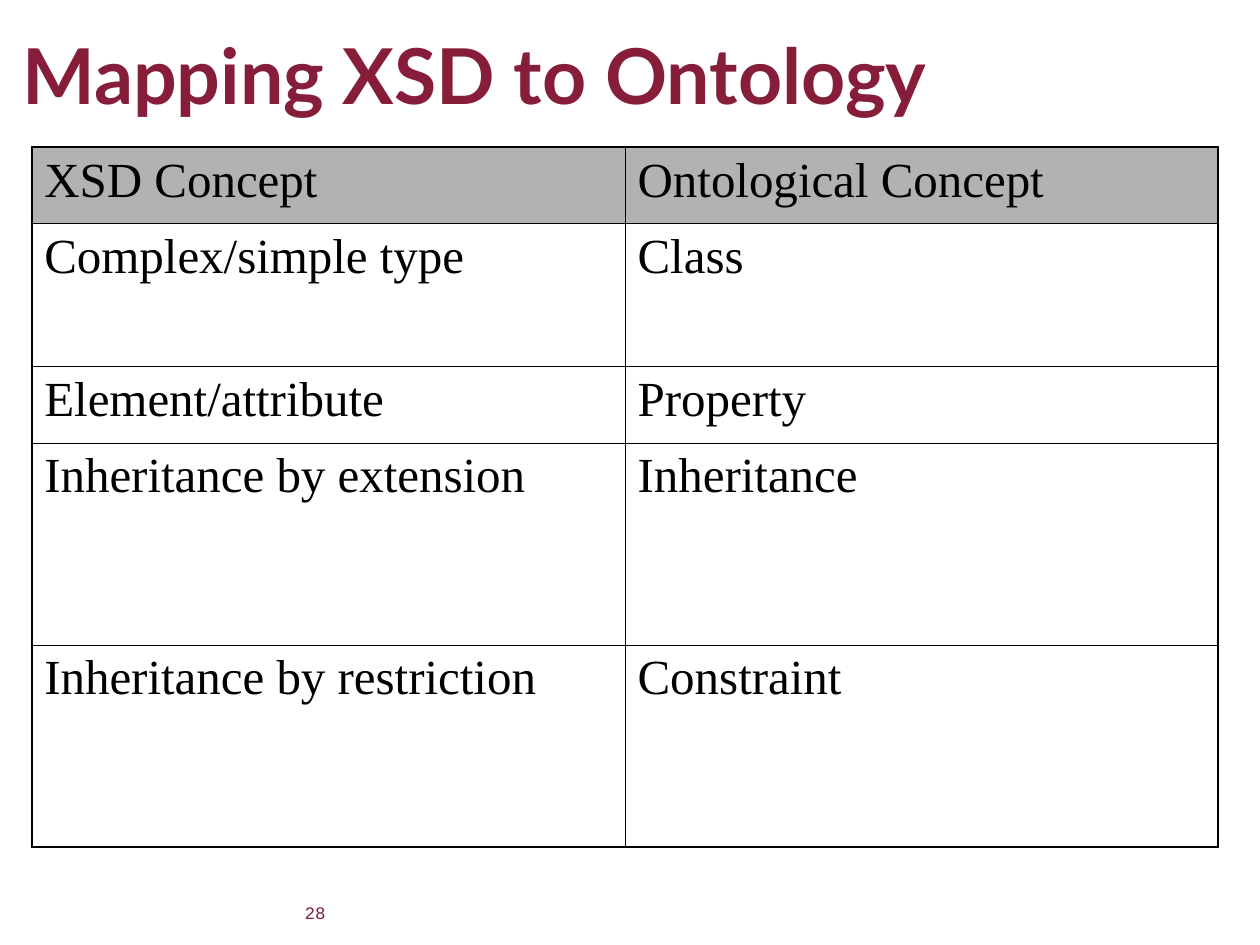
from typing import NamedTuple

from lxml import etree
from pptx import Presentation
from pptx import util as u
from pptx.dml.color import RGBColor
from pptx.enum import text
from pptx.oxml import ns

HUES = {"wine": "861E3A", "ink": "000000", "head": "B2B2B2"}
THIN, THICK = 0.45, 1.08


class Font(NamedTuple):
    name: str
    size: int
    hue: str
    bold: bool = False


class Label(NamedTuple):
    words: str
    box: tuple[float, float, float, float]
    font: Font
    align: text.PP_ALIGN


class Row(NamedTuple):
    xsd: str
    onto: str
    tall: float


LABELS = [
    Label("28", (5.72, 17.98, 1.27, 0.84),
          Font("Courier New", 10, "wine"), text.PP_ALIGN.CENTER),
    Label("Mapping XSD to Ontology", (0.2, 0.64, 24.77, 1.7),
          Font("Lato", 44, "wine", True), text.PP_ALIGN.LEFT),
]
ROWS = [
    Row("XSD Concept", "Ontological Concept", 1.54),
    Row("Complex/simple type", "Class", 2.88),
    Row("Element/attribute", "Property", 1.54),
    Row("Inheritance by extension", "Inheritance", 4.07),
    Row("Inheritance by restriction", "Constraint", 4.07),
]
GRID_FONT = Font("Times New Roman", 28, "ink")
LEFT, TOP, COL = 0.64, 2.97, 11.96


def write(frame, words: str, font: Font, align=text.PP_ALIGN.LEFT) -> None:
    frame.text = words
    para = frame.paragraphs[0]
    para.alignment = align
    face = para.runs[0].font
    face.name, face.size, face.bold = font.name, u.Pt(font.size), font.bold
    face.color.rgb = RGBColor.from_string(HUES[font.hue])


def add_label(slide, label: Label) -> None:
    frame = slide.shapes.add_textbox(*map(u.Cm, label.box)).text_frame
    frame.word_wrap = True
    frame.vertical_anchor = text.MSO_ANCHOR.MIDDLE
    write(frame, label.words, label.font, label.align)


def add_edge(cell, side: str, width: float) -> None:
    """Draw one cell border; side is L, R, T or B."""
    props = cell._tc.get_or_add_tcPr()
    line = etree.SubElement(props, ns.qn(f"a:ln{side}"), w=str(u.Pt(width)))
    fill = etree.SubElement(line, ns.qn("a:solidFill"))
    etree.SubElement(fill, ns.qn("a:srgbClr"), val=HUES["ink"])


def add_grid(slide, rows: list[Row]) -> None:
    """Draw the table with a thick outer frame and thin inner rules."""
    high = sum(row.tall for row in rows)
    box = map(u.Cm, (LEFT, TOP, 2 * COL, high))
    grid = slide.shapes.add_table(len(rows), 2, *box).table
    grid.first_row = grid.horz_banding = False
    for col in grid.columns:
        col.width = u.Cm(COL)
    last = len(rows) - 1
    for r, row in enumerate(rows):
        grid.rows[r].height = u.Cm(row.tall)
        for c, words in enumerate((row.xsd, row.onto)):
            cell = grid.cell(r, c)
            write(cell.text_frame, words, GRID_FONT)
            outer = {"L": c == 0, "R": c == 1, "T": r == 0, "B": r == last}
            for side, edge in outer.items():
                add_edge(cell, side, THICK if edge else THIN)
            if r == 0:
                cell.fill.solid()
                cell.fill.fore_color.rgb = RGBColor.from_string(HUES["head"])
            else:
                cell.fill.background()


def main() -> None:
    deck = Presentation()
    deck.slide_width, deck.slide_height = u.Cm(25.4), u.Cm(19.05)
    slide = deck.slides.add_slide(deck.slide_layouts[6])
    for label in LABELS:
        add_label(slide, label)
    add_grid(slide, ROWS)
    deck.save("out.pptx")


if __name__ == "__main__":
    main()
